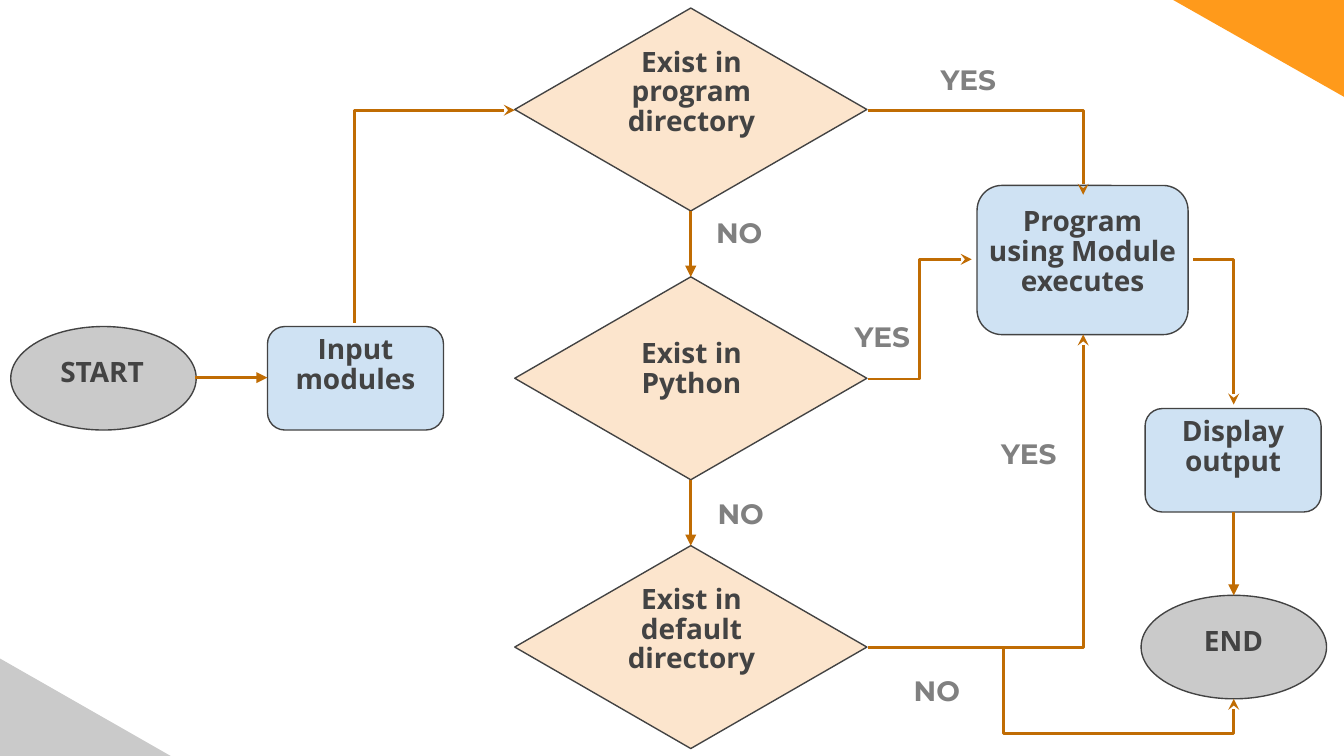
"""Build a flowchart slide showing how a program looks up a module."""
from dataclasses import dataclass

from lxml import etree
from pptx import Presentation
from pptx.dml.color import RGBColor
from pptx.enum.shapes import MSO_CONNECTOR, MSO_SHAPE
from pptx.enum.text import MSO_ANCHOR, PP_ALIGN
from pptx.oxml.ns import qn
from pptx.util import Inches, Pt

OVAL = MSO_SHAPE.OVAL
ROUNDED = MSO_SHAPE.ROUNDED_RECTANGLE
DIAMOND = MSO_SHAPE.DIAMOND
STRAIGHT = MSO_CONNECTOR.STRAIGHT
ELBOW = MSO_CONNECTOR.ELBOW
LEFT = PP_ALIGN.LEFT
CENTER = PP_ALIGN.CENTER
TOP = MSO_ANCHOR.TOP
MIDDLE = MSO_ANCHOR.MIDDLE


@dataclass(frozen=True)
class Theme:
    """Hold the colours, fonts and sizes of the slide."""
    terminal: str = "CACACA"
    process: str = "CFE2F3"
    decision: str = "FCE5CD"
    accent: str = "FF9A1B"
    ink: str = "434343"
    answer: str = "808080"
    flow: str = "C06C03"
    step_font: str = "Open Sans"
    answer_font: str = "Montserrat"
    text_size: float = 15
    outline: float = 0.75
    flow_width: float = 1.5
    step_spacing: float = 0.88


THEME = Theme()


def inches(*values):
    """Convert numbers to a list of lengths."""
    return [Inches(value) for value in values]


def paint(shape, color):
    """Give a shape a flat fill without shadow."""
    shape.shadow.inherit = False
    shape.fill.solid()
    shape.fill.fore_color.rgb = RGBColor.from_string(color)


def add_corner(slide, points, color):
    """Draw a corner triangle through three points."""
    start, *others = [inches(*point) for point in points]
    builder = slide.shapes.build_freeform(*start)
    builder.add_line_segments(others, close=True)
    corner = builder.convert_to_shape()
    paint(corner, color)
    corner.line.fill.background()


def add_node(slide, preset, box, color):
    """Draw one outlined flowchart node."""
    node = slide.shapes.add_shape(preset, *inches(*box))
    paint(node, color)
    node.line.color.rgb = RGBColor.from_string(THEME.ink)
    node.line.width = Pt(THEME.outline)


def add_text(slide, box, text, font, color, align, anchor, spacing):
    """Place a bold wrapped line of text."""
    frame = slide.shapes.add_textbox(*inches(*box)).text_frame
    margins = {f"margin_{side}": Inches(0.1) for side in ("left", "top", "right", "bottom")}
    for name, value in {"word_wrap": True, "vertical_anchor": anchor, **margins}.items():
        setattr(frame, name, value)
    paragraph = frame.paragraphs[0]
    paragraph.alignment = align
    paragraph.line_spacing = spacing
    run = paragraph.add_run()
    run.text = text
    for name, value in {"name": font, "size": Pt(THEME.text_size), "bold": True}.items():
        setattr(run.font, name, value)
    run.font.color.rgb = RGBColor.from_string(color)


def add_step_text(slide, box, text, align=CENTER):
    """Place the wording of a flowchart node."""
    add_text(slide, box, text, THEME.step_font, THEME.ink, align, TOP, THEME.step_spacing)


def add_answer(slide, box, text):
    """Place a YES or NO beside a branch."""
    add_text(slide, box, text, THEME.answer_font, THEME.answer, LEFT, MIDDLE, 1.0)


def add_flow(slide, kind, start, end, head):
    """Draw a connector with an arrowhead at its end."""
    flow = slide.shapes.add_connector(kind, *inches(*start, *end))
    flow.line.color.rgb = RGBColor.from_string(THEME.flow)
    flow.line.width = Pt(THEME.flow_width)
    etree.SubElement(flow.line._get_or_add_ln(), qn("a:tailEnd"), type=head)
    etree.SubElement(flow._element.spPr, qn("a:effectLst"))
    return flow


def add_elbow(slide, start, end, bends=2, adjust=(), upright=False):
    """Draw a bent connector, leaving vertically when upright."""
    if upright:
        middle_x, middle_y = [(a + b) / 2 for a, b in zip(start, end)]
        start, end = [(middle_x - (y - middle_y), middle_y + (x - middle_x))
                      for x, y in (start, end)]
    flow = add_flow(slide, ELBOW, start, end, "stealth")
    properties = flow._element.spPr
    if upright:
        properties.find(qn("a:xfrm")).set("rot", str(270 * 60000))
    geometry = properties.find(qn("a:prstGeom"))
    geometry.set("prst", f"bentConnector{bends}")
    guides = geometry.find(qn("a:avLst"))
    for number, share in enumerate(adjust, 1):
        etree.SubElement(guides, qn("a:gd"), name=f"adj{number}",
                         fmla=f"val {round(share * 100000)}")


def main():
    """Build and save the flowchart."""
    deck = Presentation()
    deck.slide_width, deck.slide_height = inches(10, 5.625)
    slide = deck.slides.add_slide(deck.slide_layouts[6])

    add_corner(slide, [(10, 0.72), (8.73, 0), (10, 0)], THEME.accent)
    add_corner(slide, [(0, 4.9), (1.27, 5.625), (0, 5.625)], THEME.terminal)

    decision_tops = [0.06 + 2 * row for row in range(3)]
    terminal_size, process_size = (1.38, 0.77), (1.31, 0.77)
    add_node(slide, OVAL, (0.08, 2.43, *terminal_size), THEME.terminal)
    add_node(slide, ROUNDED, (1.99, 2.43, *process_size), THEME.process)
    for top in decision_tops:
        add_node(slide, DIAMOND, (3.83, top, 2.62, 1.51), THEME.decision)
    add_node(slide, ROUNDED, (7.27, 1.38, 1.57, 1.11), THEME.process)
    add_node(slide, ROUNDED, (8.52, 3.04, *process_size), THEME.process)
    add_node(slide, OVAL, (8.49, 4.43, *terminal_size), THEME.terminal)

    straight_flows = [((1.45, 2.81), (1.99, 2.81)), ((9.18, 3.81), (9.18, 4.43))]
    straight_flows += [((5.14, top + 1.51), (5.14, top + 2)) for top in decision_tops[:2]]
    for start, end in straight_flows:
        add_flow(slide, STRAIGHT, start, end, "triangle")

    add_step_text(slide, (0.35, 2.57, 0.91, 0.5), "START", LEFT)
    add_step_text(slide, (8.86, 4.57, 0.91, 0.5), "END", LEFT)
    for box, wording in [
        ((2.05, 2.4, 1.19, 0.5), "Input modules"),
        ((4.32, 0.26, 1.65, 1.11), "Exist in program directory"),
        ((4.32, 2.43, 1.65, 0.77), "Exist in Python"),
        ((4.32, 4.26, 1.65, 1.11), "Exist in default directory"),
        ((7.23, 1.45, 1.65, 0.96), "Program using Module executes"),
        ((8.35, 3.01, 1.65, 0.72), "Display output"),
    ]:
        add_step_text(slide, box, wording)

    for left, top, answer in [
        (5.23, 1.53, "NO"), (5.24, 3.62, "NO"), (6.7, 4.94, "NO"),
        (6.9, 0.39, "YES"), (6.26, 2.3, "YES"), (7.35, 3.17, "YES"),
    ]:
        add_answer(slide, (left, top, 0.65, 0.4), answer)

    first_exit, second_exit, third_exit = [(6.46, top + 0.76) for top in decision_tops]
    add_elbow(slide, (2.64, 2.4), (3.83, 0.82), upright=True)
    add_elbow(slide, second_exit, (7.23, 1.93), bends=3, adjust=[0.5])
    add_elbow(slide, first_exit, (8.06, 1.45))
    add_elbow(slide, third_exit, (8.06, 2.49))
    add_elbow(slide, third_exit, (9.18, 5.2), bends=4, adjust=[0.37, 1.68])
    add_elbow(slide, (8.88, 1.93), (9.18, 3.01))
    deck.save("out.pptx")


if __name__ == "__main__":
    main()
